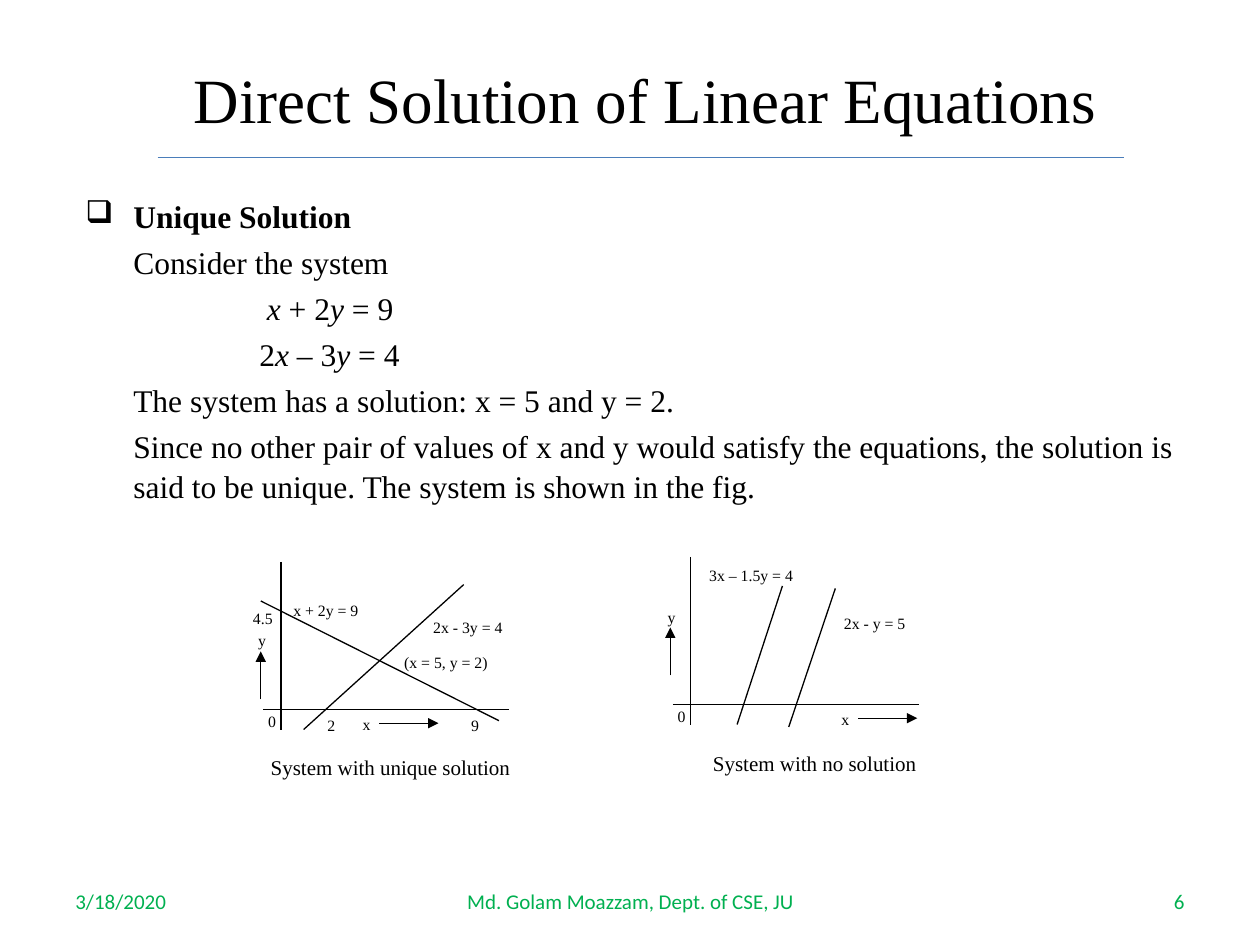
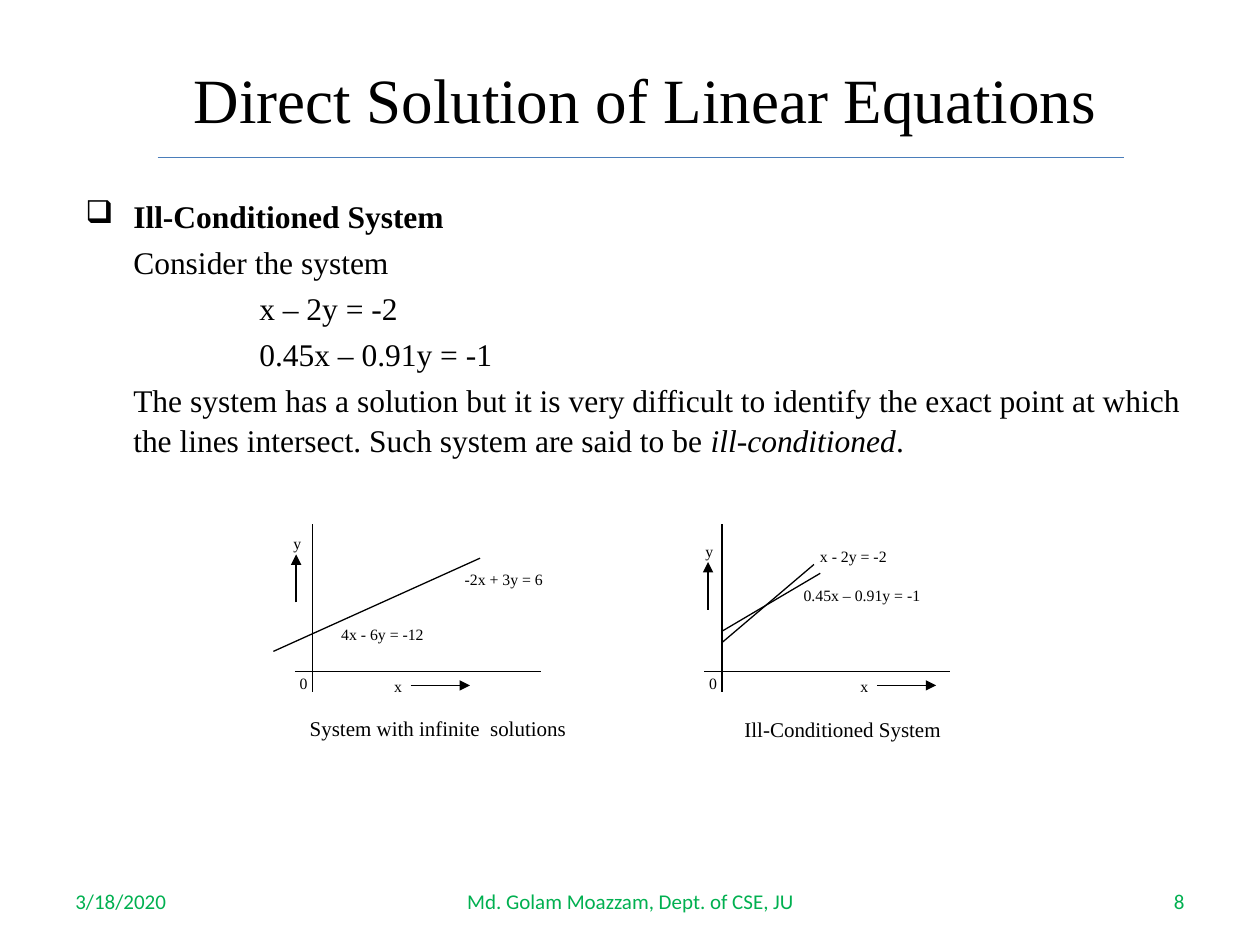
import pptx
import pptx.util
import pptx.dml.color
import pptx.enum.shapes
import pptx.enum.text
import pptx.oxml.ns
import lxml.etree

Inches = pptx.util.Inches
Pt = pptx.util.Pt
ALIGN = pptx.enum.text.PP_ALIGN
ANCHOR = pptx.enum.text.MSO_ANCHOR

BLACK, GREEN, BLUE = "000000", "00B050", "4A7DBA"
SERIF, SANS = "Times New Roman", "Calibri"
TITLE = "Direct Solution of Linear Equations"
DATE = "3/18/2020"
AUTHOR = "Md. Golam Moazzam, Dept. of CSE, JU"
TEXT_INDENT, EQUATION_INDENT = 0.38, 1.38

SLIDES = [
    {
        "number": "6",
        "heading": "Unique Solution",
        "body": [
            (TEXT_INDENT, ["Consider the system"]),
            (EQUATION_INDENT + 0.06, ["", "x", " + 2", "y", " = 9"]),
            (EQUATION_INDENT, ["2", "x", " – 3", "y", " = 4"]),
            (TEXT_INDENT, ["The system has a solution: x = 5 and y = 2."]),
            (TEXT_INDENT, ["Since no other pair of values of x and y would satisfy the "
                           "equations, the solution is said to be unique. The system "
                           "is shown in the fig."]),
        ],
        "graphs": [
            {
                "origin": (2.23, 5.63), "y_arrow": (2.07, 5.17), "x_arrow": 3.01,
                "lines": [(2.07, 4.77, 3.96, 5.72), (2.41, 5.79, 3.68, 4.64)],
                "labels": [("2", 2.5, 5.63, 0.28), ("9", 3.64, 5.63, 0.28),
                           ("4.5", 1.91, 4.78, 0.37),
                           ("(x = 5, y = 2)", 3.11, 5.13, 0.87),
                           ("x + 2y = 9", 2.23, 4.72, 0.77),
                           ("2x - 3y = 4", 3.34, 4.85, 0.77)],
                "caption": ("System with unique solution", 2.05, 5.94, 2.12),
            },
            {
                "origin": (5.48, 5.59), "y_arrow": (5.32, 4.98), "x_arrow": 6.81,
                "lines": [(5.85, 5.75, 6.21, 4.65), (6.26, 5.77, 6.63, 4.67)],
                "labels": [("2x - y = 5", 6.6, 4.82, 0.77),
                           ("3x – 1.5y = 4", 5.53, 4.44, 0.89)],
                "caption": ("System with no solution", 5.56, 5.91, 1.85),
            },
        ],
    },
    {
        "number": "8",
        "heading": "Ill-Conditioned System",
        "body": [
            (TEXT_INDENT, ["Consider the system"]),
            (EQUATION_INDENT, ["x – 2y = -2"]),
            (EQUATION_INDENT, ["0.45x – 0.91y = -1"]),
            (TEXT_INDENT, ["The system has a solution but it is very difficult to identify "
                           "the exact point at which the lines intersect. Such system are "
                           "said to be ", "ill-conditioned", "."]),
        ],
        "graphs": [
            {
                "origin": (2.48, 5.33), "y_arrow": (2.35, 4.4), "x_arrow": 3.26,
                "lines": [(2.17, 5.17, 3.81, 4.43)],
                "labels": [("4x - 6y = -12", 2.61, 4.91, 0.91),
                           ("-2x + 3y = 6", 3.59, 4.47, 0.87)],
                "caption": ("System with infinite  solutions", 2.36, 5.63, 2.47),
            },
            {
                "origin": (5.73, 5.33), "y_arrow": (5.62, 4.46), "x_arrow": 6.96,
                "lines": [(5.73, 5.1, 6.46, 4.48), (5.73, 5.01, 6.51, 4.55)],
                "labels": [("x - 2y = -2", 6.41, 4.29, 0.77),
                           ("0.45x – 0.91y = -1", 6.28, 4.6, 1.2)],
                "caption": ("Ill-Conditioned System", 5.81, 5.64, 2.19),
            },
        ],
    },
]


def rgb(color):
    return pptx.dml.color.RGBColor.from_string(color)


def add_xml(parent, tag, **attributes):
    return lxml.etree.SubElement(parent, pptx.oxml.ns.qn(tag), **attributes)


def add_run(p, text, size=18, font=SERIF, color=BLACK, bold=False, italic=False):
    r = p.add_run()
    r.text = text
    r.font.size = Pt(size)
    r.font.name = font
    r.font.color.rgb = rgb(color)
    r.font.bold = bold
    r.font.italic = italic


def add_box(shapes, left, top, width, height, anchor=ANCHOR.TOP):
    sp = shapes.add_textbox(Inches(left), Inches(top), Inches(width), Inches(height))
    tf = sp.text_frame
    tf.word_wrap = True
    tf.vertical_anchor = anchor
    return tf


def add_text(shapes, text, left, top, width, height, align=ALIGN.LEFT,
             anchor=ANCHOR.TOP, spacing=1.0, **style):
    tf = add_box(shapes, left, top, width, height, anchor)
    p = tf.paragraphs[0]
    p.alignment = align
    p.line_spacing = spacing
    add_run(p, text, **style)
    return tf


def add_label(shapes, text, left, top, width, size=9):
    tf = add_text(shapes, text, left, top, width, 0.29, size=size)
    tf.margin_right = 0


def add_line(shapes, x1, y1, x2, y2, color=BLACK, arrow=False):
    sp = shapes.add_connector(pptx.enum.shapes.MSO_CONNECTOR.STRAIGHT,
                              Inches(x1), Inches(y1), Inches(x2), Inches(y2))
    sp.line.color.rgb = rgb(color)
    sp.line.width = Pt(0.75)
    if arrow:
        add_xml(sp.line._get_or_add_ln(), "a:tailEnd", type="triangle")
    add_xml(sp._element.spPr, "a:effectLst")


def add_body(shapes, heading, body):
    tf = add_box(shapes, 0.58, 1.5, 9, 5.17)
    p = tf.paragraphs[0]
    p.line_spacing = 1.05
    pPr = p._p.get_or_add_pPr()
    pPr.set("marL", str(Inches(TEXT_INDENT)))
    pPr.set("indent", str(-Inches(TEXT_INDENT)))
    add_xml(add_xml(pPr, "a:buClr"), "a:srgbClr", val=BLACK)
    add_xml(pPr, "a:buChar", char="❑")
    add_run(p, heading, bold=True)
    for indent, parts in body:
        p = tf.add_paragraph()
        p.line_spacing = 1.05
        p.space_before = Pt(3.6)
        p._p.get_or_add_pPr().set("marL", str(Inches(indent)))
        for i, part in enumerate(parts):
            if part:
                add_run(p, part, italic=i % 2 == 1)


def add_graph(shapes, graph):
    x0, y0 = graph["origin"]
    arrow_x, arrow_top = graph["y_arrow"]
    arrow_left = graph["x_arrow"]
    for line in graph["lines"]:
        add_line(shapes, *line)
    add_line(shapes, x0, y0 - 1.17, x0, y0 + 0.16)
    add_line(shapes, x0 - 0.14, y0, x0 + 1.81, y0)
    add_line(shapes, arrow_x, arrow_top + 0.38, arrow_x, arrow_top, arrow=True)
    add_line(shapes, arrow_left, y0 + 0.11, arrow_left + 0.47, y0 + 0.11, arrow=True)
    add_label(shapes, "x", arrow_left - 0.23, y0 - 0.01, 0.28)
    add_label(shapes, "y", arrow_x - 0.12, arrow_top - 0.21, 0.28)
    add_label(shapes, "0", x0 - 0.2, y0 - 0.03, 0.28)
    for label in graph["labels"]:
        add_label(shapes, *label)
    add_label(shapes, *graph["caption"], size=12)


def add_frame(shapes, number):
    add_text(shapes, TITLE, 1.33, 0.38, 7.58, 0.87, align=ALIGN.CENTER,
             anchor=ANCHOR.MIDDLE, spacing=0.9, size=36)
    footers = [(DATE, 0.5, 2.33, ALIGN.LEFT), (number, 7.17, 2.33, ALIGN.RIGHT),
               (AUTHOR, 3.42, 3.17, ALIGN.CENTER)]
    for text, left, width, align in footers:
        add_text(shapes, text, left, 6.95, width, 0.4, align=align,
                 anchor=ANCHOR.MIDDLE, size=12, font=SANS, color=GREEN)
    add_line(shapes, 1.25, 1.25, 8.92, 1.25, color=BLUE)


def main():
    prs = pptx.Presentation()
    prs.slide_width, prs.slide_height = Inches(10), Inches(7.5)
    for content in SLIDES:
        s = prs.slides.add_slide(prs.slide_layouts[6])
        add_frame(s.shapes, content["number"])
        add_body(s.shapes, content["heading"], content["body"])
        for graph in content["graphs"]:
            add_graph(s.shapes.add_group_shape().shapes, graph)
    prs.save("out.pptx")


if __name__ == "__main__":
    main()
